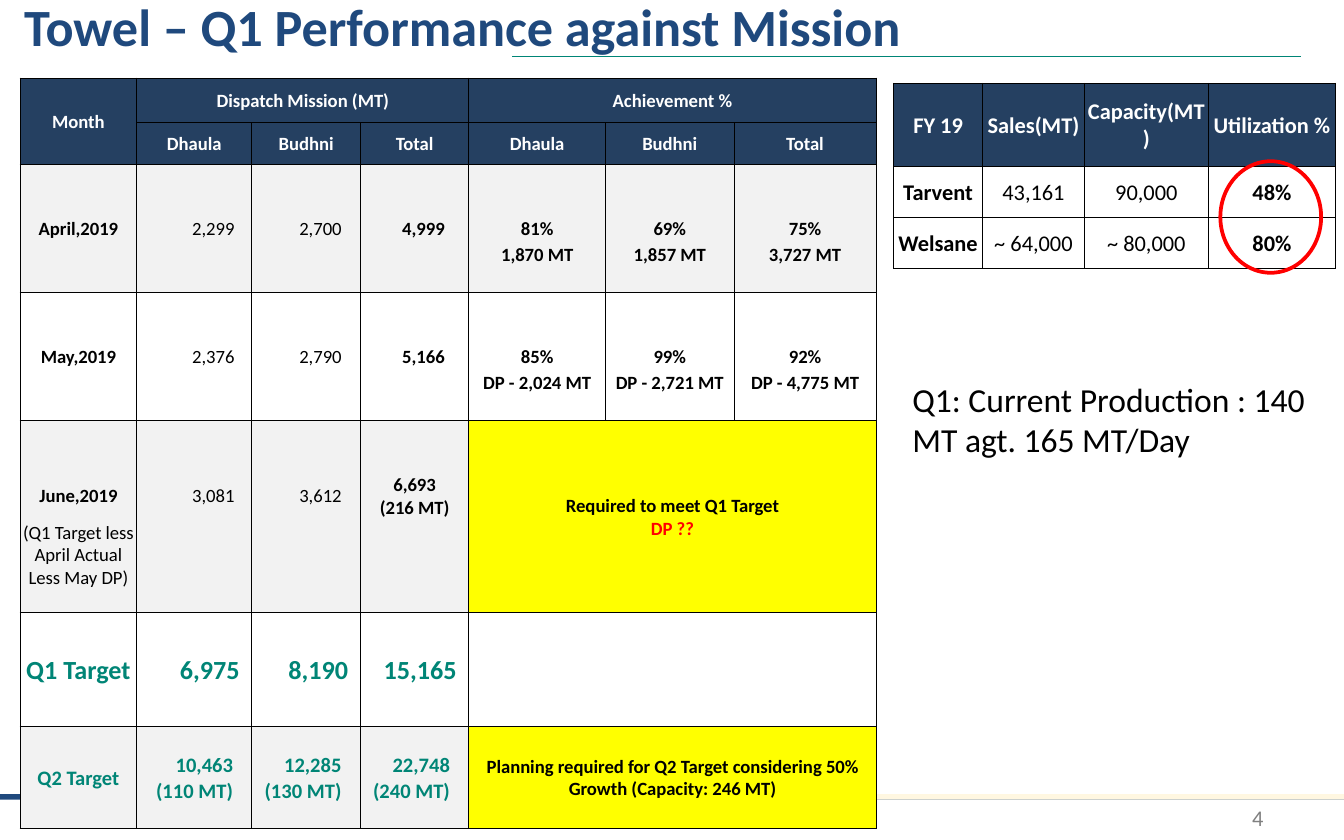
from dataclasses import dataclass
from itertools import accumulate, product

from lxml.etree import SubElement
from pptx import Presentation
from pptx.dml.color import RGBColor as Color
from pptx.enum.shapes import MSO_CONNECTOR as Connector, MSO_SHAPE as Shape
from pptx.enum.text import MSO_ANCHOR as Anchor, PP_ALIGN as Align
from pptx.oxml.ns import qn
from pptx.util import Inches, Pt


@dataclass(frozen=True)
class Theme:
    """Colours, type sizes and font of the slide."""
    font: str = "Calibri"
    blue: str = "1F497D"
    navy: str = "254061"
    cream: str = "FFF7E1"
    teal: str = "008576"
    grey: str = "F2F2F2"
    muted: str = "808080"
    yellow: str = "FFFF00"
    red: str = "FF0000"
    black: str = "000000"
    white: str = "FFFFFF"
    title: int = 28
    note: int = 18
    target: int = 14
    label: int = 12
    plan: int = 11
    cell: int = 10


THEME = Theme()
WIDTH, HEIGHT = Inches(10), Inches(6.25)
ALL_SIDES = "LRTB"


def share(left, top, width, height):
    """Turn percentages of the slide into a box of lengths."""
    return tuple(int(part * size / 100) for part, size in
                 zip((left, top, width, height), (WIDTH, HEIGHT) * 2))


def assign(target, values):
    """Set attributes from a dict of format values."""
    for name, value in values.items():
        setattr(target, name, value)


def write(frame, text, size, color=THEME.black, bold=False, align=Align.LEFT):
    """Fill a text frame with one paragraph for each line of text."""
    for index, line in enumerate(text.split("\n")):
        paragraph = frame.add_paragraph() if index else frame.paragraphs[0]
        paragraph.alignment = align
        run = paragraph.add_run()
        run.text = line
        assign(run.font, {"name": THEME.font, "size": Pt(size), "bold": bold})
        run.font.color.rgb = Color.from_string(color)


def write_cell(cell, text, size=THEME.cell, color=THEME.black, bold=True, right=None):
    """Write a cell, centred or set off from its right edge."""
    write(cell.text_frame, text, size, color, bold, Align.CENTER if right is None else Align.RIGHT)
    if right is not None:
        cell.margin_right = Inches(right)


def add_grid(slide, box, columns, rows):
    """Add a plain table whose columns and rows share out the box."""
    table = slide.shapes.add_table(len(rows), len(columns), *box).table
    assign(table, {"first_row": False, "horz_banding": False})
    for column, weight in zip(table.columns, columns):
        column.width = int(box[2] * weight / sum(columns))
    for row, weight in zip(table.rows, rows):
        row.height = int(box[3] * weight / sum(rows))
    for cell in table.iter_cells():
        assign(cell, {"margin_left": Inches(0.01), "margin_right": Inches(0.01),
                      "margin_top": Inches(0.01), "margin_bottom": 0,
                      "vertical_anchor": Anchor.MIDDLE})
    return table


def frame_cells(table, top, left, rows, columns, fill=None, merge=False):
    """Fill a region of cells and rule its outer edges."""
    for row, column in product(range(rows), range(columns)):
        cell = table.cell(top + row, left + column)
        edges = {"L": column == 0, "R": column == columns - 1,
                 "T": row == 0, "B": row == rows - 1}
        properties = cell._tc.get_or_add_tcPr()
        for side in ALL_SIDES:
            line = SubElement(properties, qn(f"a:ln{side}"), w=str(Pt(0.5)))
            if merge or edges[side]:
                SubElement(SubElement(line, qn("a:solidFill")), qn("a:srgbClr"), val=THEME.black)
            else:
                SubElement(line, qn("a:noFill"))
        if fill:
            cell.fill.solid()
            cell.fill.fore_color.rgb = Color.from_string(fill)
        else:
            cell.fill.background()
    if merge:
        table.cell(top, left).merge(table.cell(top + rows - 1, left + columns - 1))


def shrink_empty_cells(table):
    """Give empty cells the small type size so that rows keep their height."""
    for cell in table.iter_cells():
        for paragraph in cell.text_frame.paragraphs:
            if not paragraph.runs:
                SubElement(paragraph._p, qn("a:endParaRPr"), sz=str(THEME.cell * 100))


def add_mission_table(slide, box):
    """Add the table of dispatch mission and achievement by month."""
    blocks = [[0.33, 0.31], [0.19] * 5, [0.19] * 5, [0.19, 0.19, 0.36, 0.51, 0.17],
              [0.28] * 3, [0.19, 0.38, 0.19]]
    starts = list(accumulate(map(len, blocks), initial=0))
    april, may, june, first, second = starts[1:6]
    table = add_grid(slide, box, [0.87, 0.86, 0.81, 0.81, 1.02, 0.96, 1.06], sum(blocks, []))

    headings = [(0, 0, 2, 1, "Month"), (0, 1, 1, 3, "Dispatch Mission (MT)"),
                (0, 4, 1, 3, "Achievement %")]
    headings += [(1, column, 1, 1, name) for column, name in
                 enumerate(["Dhaula", "Budhni", "Total"] * 2, 1)]
    for top, left, rows, columns, text in headings:
        frame_cells(table, top, left, rows, columns, THEME.navy, merge=rows * columns > 1)
        write_cell(table.cell(top, left), text, color=THEME.white)

    for index, top in enumerate(starts[1:6]):
        fill = None if index % 2 else THEME.grey
        for column in range(7 if top in (april, may) else 4):
            frame_cells(table, top, column, len(blocks[index + 1]), 1, fill)
    frame_cells(table, first, 4, 3, 3)

    months = [(april, "April,2019", ["2,299", "2,700", "4,999"],
               ["81%", "69%", "75%"], ["1,870 MT", "1,857 MT", "3,727 MT"]),
              (may, "May,2019", ["2,376", "2,790", "5,166"], ["85%", "99%", "92%"],
               ["DP - 2,024 MT", "DP - 2,721 MT", "DP - 4,775 MT"]),
              (june, "June,2019", ["3,081", "3,612"], [], [])]
    for top, month, mission, percents, tonnes in months:
        write_cell(table.cell(top + 2, 0), month)
        for column, (text, right) in enumerate(zip(mission, (0.13, 0.14, 0.18)), 1):
            write_cell(table.cell(top + 2, column), text, bold=column == 3, right=right)
        for offset, texts in ((2, percents), (3, tonnes)):
            for column, text in enumerate(texts, 4):
                write_cell(table.cell(top + offset, column), text)
    write_cell(table.cell(june + 2, 3), "6,693\n(216 MT)")
    write_cell(table.cell(june + 3, 0), "(Q1 Target less April Actual Less May DP)", bold=False)

    targets = [(first, "Q1 Target", ["6,975", "8,190", "15,165"], THEME.target, 0.09),
               (second, "Q2 Target", ["10,463\n(110 MT)", "12,285\n(130 MT)",
                                      "22,748\n(240 MT)"], THEME.plan, 0.14)]
    for top, label, amounts, size, right in targets:
        write_cell(table.cell(top + 1, 0), label, size, THEME.teal)
        for column, text in enumerate(amounts, 1):
            write_cell(table.cell(top + 1, column), text, size, THEME.teal, right=right)

    remarks = [(june, 5, "Required to meet Q1 Target\nDP ??"),
               (second, 3, "Planning required for Q2 Target considering 50% "
                           "Growth (Capacity: 246 MT)")]
    for top, rows, text in remarks:
        frame_cells(table, top, 4, rows, 3, THEME.yellow, merge=True)
        write_cell(table.cell(top, 4), text)
    question = table.cell(june, 4).text_frame.paragraphs[1].runs[0]
    question.font.color.rgb = Color.from_string(THEME.red)
    shrink_empty_cells(table)


def add_utilization_table(slide, box):
    """Add the table of sales against capacity."""
    rows = [["FY 19", "Sales(MT)", "Capacity(MT)", "Utilization %"],
            ["Tarvent", "43,161", "90,000", "48%"],
            ["Welsane", "~ 64,000", "~ 80,000", "80%"]]
    table = add_grid(slide, box, [0.66, 0.76, 0.92, 0.95], [0.62, 0.38, 0.38])
    for row, column in product(range(3), range(4)):
        heading = row == 0
        frame_cells(table, row, column, 1, 1, THEME.navy if heading else None)
        write_cell(table.cell(row, column), rows[row][column], THEME.label,
                   THEME.white if heading else THEME.black, heading or column in (0, 3))


def add_highlight(slide, box):
    """Ring the utilization figures."""
    ring = slide.shapes.add_shape(Shape.OVAL, *box)
    ring.shadow.inherit = False
    ring.fill.background()
    ring.line.color.rgb = Color.from_string(THEME.red)
    ring.line.width = Pt(2)


def add_title(slide, box, rule):
    """Place the title and the thin rule under it."""
    title = slide.shapes.title
    assign(title, dict(zip(("left", "top", "width", "height"), box)))
    assign(title.text_frame, {"vertical_anchor": Anchor.TOP, "word_wrap": True})
    write(title.text_frame, "Towel – Q1 Performance against Mission",
          THEME.title, THEME.blue, True)
    left, top, width, height = rule
    line = slide.shapes.add_connector(Connector.STRAIGHT, left, top, left + width, top + height)
    line.line.color.rgb = Color.from_string(THEME.teal)
    line.line.width = Pt(0.5)
    SubElement(line._element.spPr, qn("a:effectLst"))


def add_text(slide, box, text, wrap=True, anchor=Anchor.TOP, **style):
    """Add a text box."""
    frame = slide.shapes.add_textbox(*box).text_frame
    assign(frame, {"word_wrap": wrap, "vertical_anchor": anchor})
    write(frame, text, **style)


def add_footer(slide, box):
    """Add the two-colour footer bar and the page number."""
    left, top, width, height = box
    for start, color in ((0, THEME.blue), (0.61, THEME.cream)):
        bar = slide.shapes.add_shape(Shape.RECTANGLE, left + int(width * start), top,
                                     int(width * (1 - start)), height)
        bar.shadow.inherit = False
        bar.fill.solid()
        bar.fill.fore_color.rgb = Color.from_string(color)
        bar.line.fill.background()
    add_text(slide, share(71.7, 95.36, 23.3, 4), "4", anchor=Anchor.MIDDLE,
             size=THEME.label, color=THEME.muted, align=Align.RIGHT)


def main():
    """Build and save the slide."""
    presentation = Presentation()
    assign(presentation, {"slide_width": WIDTH, "slide_height": HEIGHT})
    slide = presentation.slides.add_slide(presentation.slide_layouts[5])
    add_footer(slide, share(0, 94.56, 100, 0.64))
    add_title(slide, share(0.8, -1.44, 93, 10.08), share(38.1, 6.72, 58.7, 0))
    add_mission_table(slide, share(1.5, 9.28, 63.7, 89.4))
    add_utilization_table(slide, share(66.5, 9.92, 32.9, 22.08))
    add_highlight(slide, share(90.8, 19.2, 7.5, 13.28))
    add_text(slide, share(66.9, 44.32, 32.2, 11.36),
             "Q1: Current Production : 140\nMT agt. 165 MT/Day", wrap=False, size=THEME.note)
    presentation.save("out.pptx")


if __name__ == "__main__":
    main()
